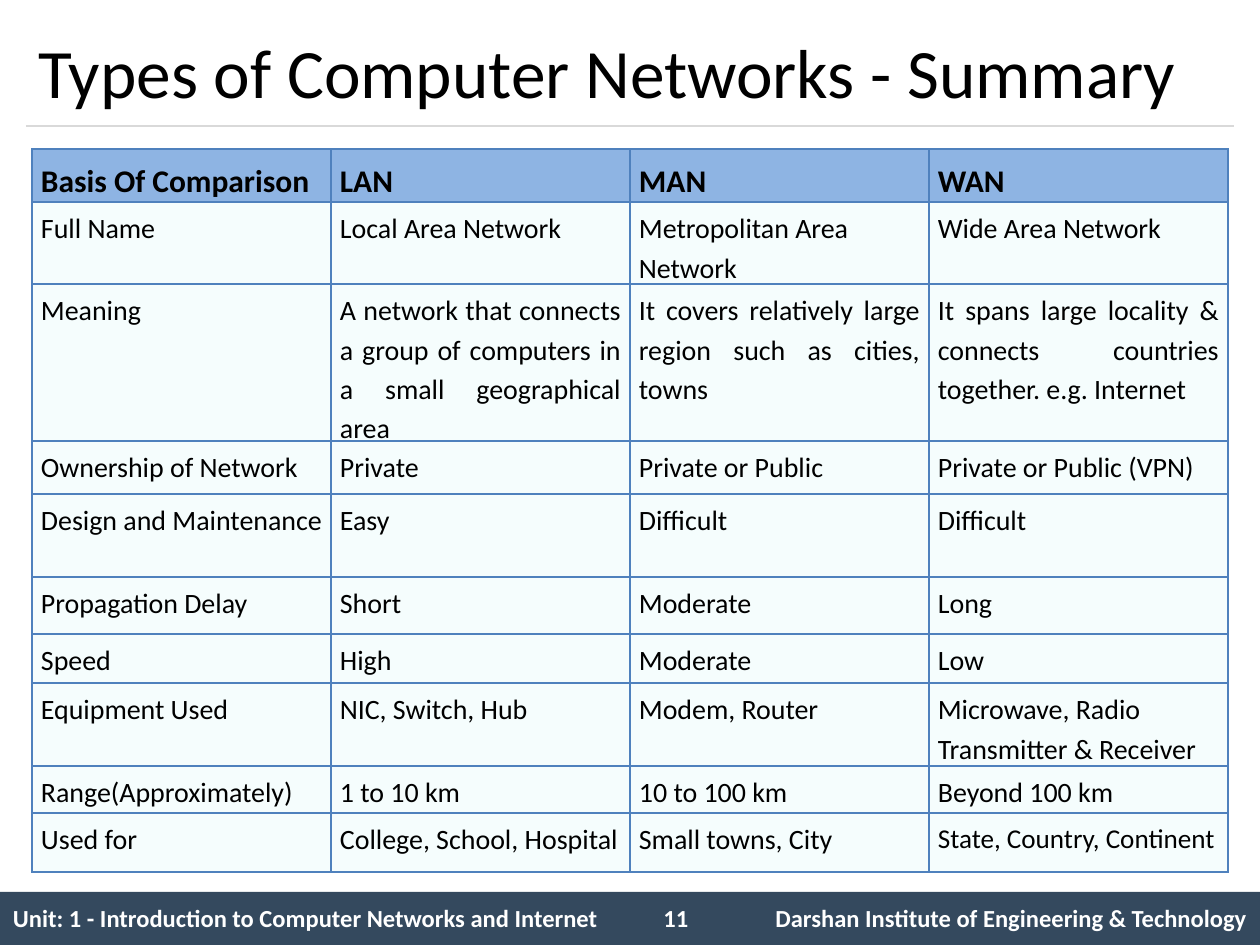
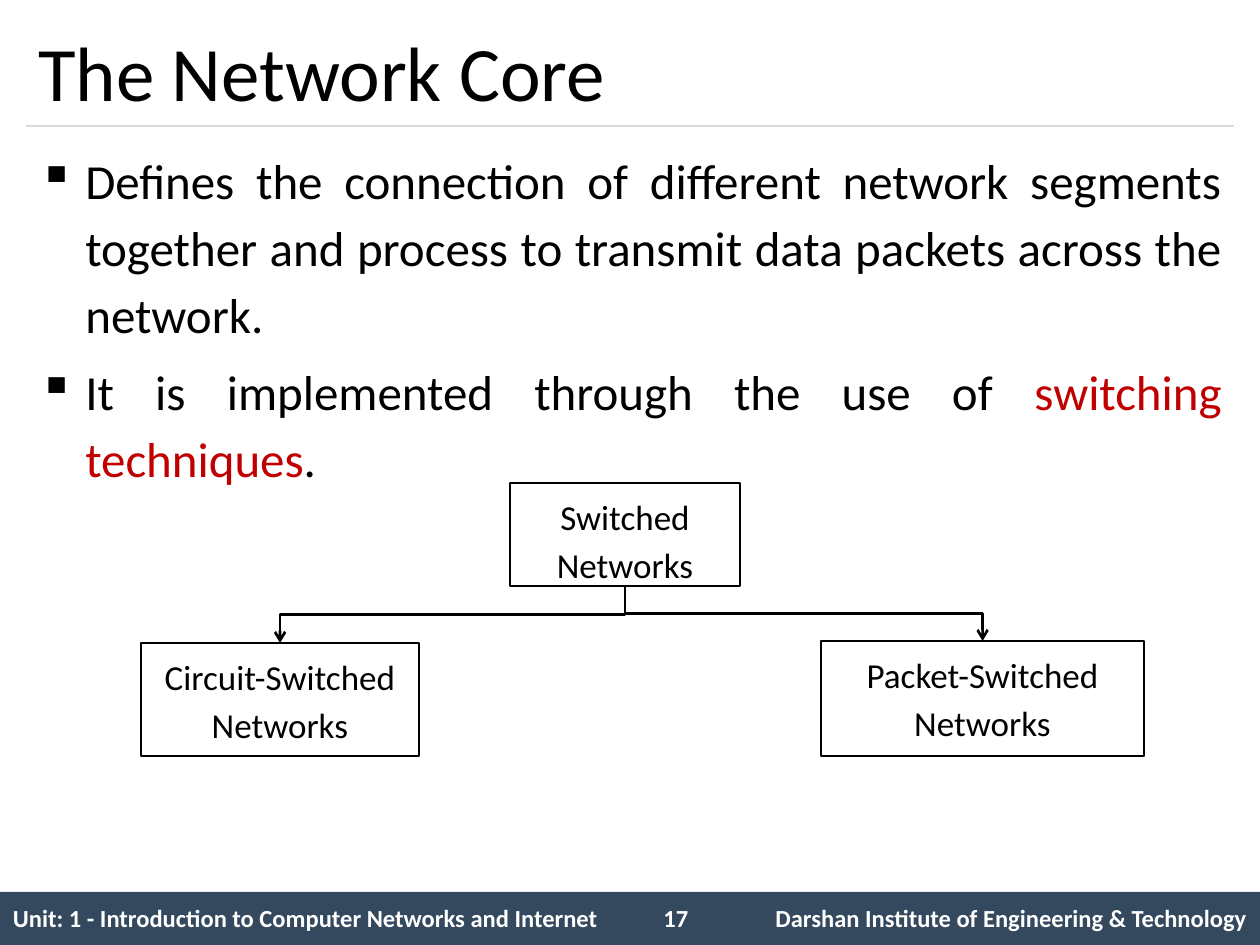
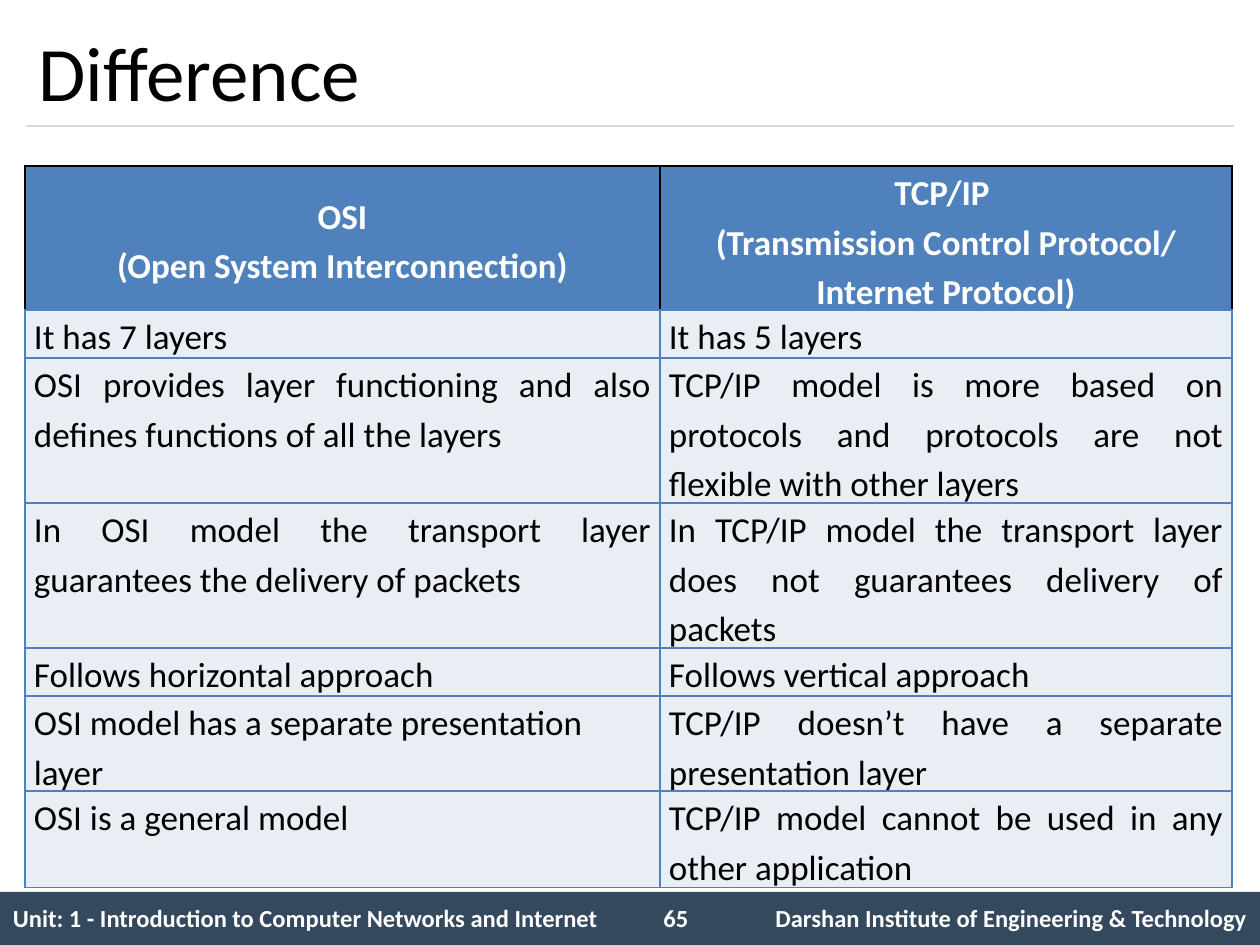
from dataclasses import dataclass

from lxml import etree
from pptx import Presentation
from pptx.dml.color import RGBColor
from pptx.enum.shapes import MSO_CONNECTOR, MSO_SHAPE
from pptx.enum.text import MSO_ANCHOR, PP_ALIGN
from pptx.oxml.ns import qn
from pptx.util import Emu, Pt

LEFT, CENTER, RIGHT, JUSTIFY = PP_ALIGN.LEFT, PP_ALIGN.CENTER, PP_ALIGN.RIGHT, PP_ALIGN.JUSTIFY
TOP, MIDDLE = MSO_ANCHOR.TOP, MSO_ANCHOR.MIDDLE
RECTANGLE = MSO_SHAPE.RECTANGLE
STRAIGHT, ELBOW = MSO_CONNECTOR.STRAIGHT, MSO_CONNECTOR.ELBOW
TOP_SIDE, BOTTOM_SIDE = 0, 2
SCALE = 914400 / 126
PAGE_WIDTH, PAGE_HEIGHT = 1260, 945


@dataclass(frozen=True)
class Theme:
    """Colours and type sizes of the whole deck."""
    font: str = "Calibri"
    ink: str = "000000"
    paper: str = "FFFFFF"
    band: str = "34495E"
    rule: str = "D9D9D9"
    accent: str = "C00000"
    grid: str = "4F81BD"
    summary_head: str = "8EB4E3"
    summary_cell: str = "F5FDFD"
    difference_cell: str = "E9EDF4"
    title_size: float = 44
    long_title_size: float = 39.6
    body_size: float = 28
    box_size: float = 20
    head_size: float = 18
    cell_size: float = 16
    tight_size: float = 15.5
    footer_size: float = 14


THEME = Theme()


@dataclass(frozen=True)
class CellStyle:
    """Look of the cells in one table strip."""
    size: float
    color: str = THEME.ink
    bold: bool = False
    fill: str = None
    border: str = None
    bottom_points: float = 1
    anchor: MSO_ANCHOR = TOP
    inset_x: int = 9
    inset_y: int = 0
    spacing: float = 1.15


@dataclass(frozen=True)
class Strip:
    """One table row with its place and alignments."""
    top: int
    height: int
    cells: tuple
    aligns: tuple
    last_size: float = None


FOOTER_STYLE = CellStyle(THEME.footer_size, THEME.paper, True, anchor=MIDDLE,
                         inset_x=13, inset_y=6, spacing=1)
SUMMARY_HEAD = CellStyle(THEME.head_size, bold=True, fill=THEME.summary_head, border=THEME.grid,
                         bottom_points=2, anchor=MIDDLE, inset_y=5)
SUMMARY_CELL = CellStyle(THEME.cell_size, fill=THEME.summary_cell, border=THEME.grid, inset_y=5)
DIFFERENCE_HEAD = CellStyle(THEME.box_size, THEME.paper, True, THEME.grid, THEME.ink, anchor=MIDDLE)
DIFFERENCE_CELL = CellStyle(THEME.box_size, fill=THEME.difference_cell, border=THEME.grid)

ALL_LEFT, ALL_JUSTIFY = (LEFT,) * 4, (JUSTIFY,) * 4
SUMMARY_ROWS = (
    Strip(149, 59, ("Basis Of Comparison", "LAN", "MAN", "WAN"), ALL_LEFT),
    Strip(202, 87, ("Full Name", "Local Area Network", "Metropolitan Area Network",
                    "Wide Area Network"), ALL_LEFT),
    Strip(284, 164, ("Meaning",
                     "A network that connects a group of computers in a small geographical area",
                     "It covers relatively large region such as cities, towns",
                     "It spans large locality & connects countries together. e.g. Internet"),
          ALL_JUSTIFY),
    Strip(441, 59, ("Ownership of Network", "Private", "Private or Public",
                    "Private or Public (VPN)"), ALL_LEFT),
    Strip(494, 87, ("Design and Maintenance", "Easy", "Difficult", "Difficult"), ALL_LEFT),
    Strip(577, 59, ("Propagation Delay", "Short", "Moderate", "Long"), ALL_LEFT),
    Strip(634, 59, ("Speed", "High", "Moderate", "Low"), ALL_LEFT),
    Strip(683, 87, ("Equipment Used", "NIC, Switch, Hub", "Modem, Router",
                    "Microwave, Radio Transmitter & Receiver"), ALL_LEFT),
    Strip(766, 48, ("Range(Approximately)", "1 to 10 km", "10 to 100 km", "Beyond 100 km"), ALL_LEFT),
    Strip(813, 59, ("Used for", "College, School, Hospital", "Small towns, City",
                    "State, Country, Continent"), ALL_LEFT, THEME.tight_size),
)
DIFFERENCE_ROWS = (
    Strip(166, 142, ("OSI\n(Open System Interconnection)",
                     "TCP/IP \n(Transmission Control Protocol/ Internet Protocol)"),
          (CENTER, CENTER)),
    Strip(310, 45, ("It has 7 layers", "It has 5 layers"), (LEFT, LEFT)),
    Strip(358, 142, ("OSI provides layer functioning and also defines functions of all the layers",
                     "TCP/IP model is more based on protocols and protocols are not flexible "
                     "with other layers"), (JUSTIFY, JUSTIFY)),
    Strip(503, 142, ("In OSI model the transport layer guarantees the delivery of packets",
                     "In TCP/IP model the transport layer does not guarantees delivery of packets"),
          (JUSTIFY, JUSTIFY)),
    Strip(648, 45, ("Follows horizontal approach", "Follows vertical approach"), (LEFT, LEFT)),
    Strip(696, 93, ("OSI model has a separate presentation layer",
                    "TCP/IP doesn’t have a separate presentation layer"), (LEFT, JUSTIFY)),
    Strip(791, 93, ("OSI is a general model",
                    "TCP/IP model cannot be used in any other application"), (LEFT, JUSTIFY)),
)
CORE_POINTS = (
    (("Defines the connection of different network segments together and process to transmit "
      "data packets across the network.", THEME.ink),),
    (("It is implemented through the use of ", THEME.ink),
     ("switching techniques", THEME.accent), (".", THEME.ink)),
)


def px(length):
    """Turn px into EMU."""
    return Emu(round(length * SCALE))


def rgb(color):
    """Turn a hex string into a colour."""
    return RGBColor.from_string(color)


def add_span(para, text, size, color=THEME.ink, bold=False):
    """Add one formatted run to a paragraph."""
    span = para.add_run()
    span.text = text
    span.font.name = THEME.font
    span.font.size = Pt(size)
    span.font.color.rgb = rgb(color)
    span.font.bold = bold


def write_lines(frame, text, size, color=THEME.ink, bold=False, align=LEFT, spacing=1):
    """Write each line of the text as a paragraph."""
    for index, line in enumerate(text.split("\n")):
        para = frame.add_paragraph() if index else frame.paragraphs[0]
        para.alignment = align
        para.line_spacing = spacing
        add_span(para, line, size, color, bold)


def add_text_box(page, left, top, width, height, anchor=TOP):
    """Add a wrapping text box and return its frame."""
    frame = page.shapes.add_textbox(px(left), px(top), px(width), px(height)).text_frame
    frame.word_wrap = True
    frame.vertical_anchor = anchor
    return frame


def add_rectangle(page, left, top, width, height, fill, outline=None):
    """Add a flat rectangle."""
    box = page.shapes.add_shape(RECTANGLE, px(left), px(top), px(width), px(height))
    box.shadow.inherit = False
    box.fill.solid()
    box.fill.fore_color.rgb = rgb(fill)
    if outline:
        box.line.color.rgb = rgb(outline)
        box.line.width = Pt(1.5)
    else:
        box.line.fill.background()
    return box


def style_line(connector, color, points):
    """Colour a connector and clear its shadow."""
    connector.line.color.rgb = rgb(color)
    connector.line.width = Pt(points)
    etree.SubElement(connector._element.spPr, qn("a:effectLst"))


def set_borders(cell, color, bottom_points):
    """Draw the four cell borders, or hide them without a colour."""
    properties = cell._tc.get_or_add_tcPr()
    for index, side in enumerate(("lnL", "lnR", "lnT", "lnB")):
        points = bottom_points if side == "lnB" else 1
        border = etree.Element(qn(f"a:{side}"), w=str(Pt(points)))
        if color:
            fill = etree.SubElement(border, qn("a:solidFill"))
            etree.SubElement(fill, qn("a:srgbClr"), val=color)
        else:
            etree.SubElement(border, qn("a:noFill"))
        properties.insert(index, border)


def add_strip(page, left, widths, strip, style):
    """Add a one-row table."""
    table = page.shapes.add_table(1, len(widths), px(left), px(strip.top),
                                  px(sum(widths)), px(strip.height)).table
    table.first_row = table.horz_banding = False
    for index, width in enumerate(widths):
        table.columns[index].width = px(width)
        cell = table.cell(0, index)
        cell.vertical_anchor = style.anchor
        cell.margin_left = cell.margin_right = px(style.inset_x)
        cell.margin_top = cell.margin_bottom = px(style.inset_y)
        if style.fill:
            cell.fill.solid()
            cell.fill.fore_color.rgb = rgb(style.fill)
        else:
            cell.fill.background()
        set_borders(cell, style.border, style.bottom_points)
        is_last = index == len(widths) - 1
        size = strip.last_size if is_last and strip.last_size else style.size
        if strip.cells[index]:
            write_lines(cell.text_frame, strip.cells[index], size, style.color, style.bold,
                        strip.aligns[index], style.spacing)


def add_comparison(page, left, widths, strips, head_style, cell_style):
    """Add a heading strip and the strips below it."""
    for index, strip in enumerate(strips):
        add_strip(page, left, widths, strip, cell_style if index else head_style)


def add_page(deck, title, number, title_size=THEME.title_size):
    """Add a page with title, rule and footer."""
    page = deck.slides.add_slide(deck.slide_layouts[6])
    add_rectangle(page, 0, 892, PAGE_WIDTH, 53, THEME.band)
    rule = page.shapes.add_connector(STRAIGHT, px(26), px(126), px(1234), px(126))
    style_line(rule, THEME.rule, 0.75)
    footer = Strip(892, 54, ("Unit: 1 - Introduction to Computer Networks and Internet", "",
                             "Darshan Institute of Engineering & Technology"),
                   (LEFT, LEFT, RIGHT))
    add_strip(page, 0, (640, 84, 536), footer, FOOTER_STYLE)
    write_lines(add_text_box(page, 651, 897, 73, 43), number, THEME.footer_size, THEME.paper, True)
    write_lines(add_text_box(page, 26, 15, 1208, 111, MIDDLE), title, title_size)
    return page


def add_bullets(page, points):
    """Add the justified bullet list."""
    frame = add_text_box(page, 26, 136, 1208, 735)
    for index, spans in enumerate(points):
        para = frame.add_paragraph() if index else frame.paragraphs[0]
        properties = para._p.get_or_add_pPr()
        properties.set("marL", str(px(47)))
        properties.set("indent", str(px(-47)))
        etree.SubElement(properties, qn("a:buChar"), char="▪")
        para.alignment = JUSTIFY
        para.line_spacing = 1.14
        if index:
            para.space_before = Pt(THEME.body_size * 0.2)
        for text, color in spans:
            add_span(para, text, THEME.body_size, color)


def add_network_box(page, left, top, width, height, label):
    """Add an outlined box with a centred label."""
    box = add_rectangle(page, left, top, width, height, THEME.paper, THEME.ink)
    box.text_frame.word_wrap = True
    box.text_frame.vertical_anchor = TOP
    write_lines(box.text_frame, label, THEME.box_size, align=CENTER, spacing=1.15)
    return box


def add_branch(page, parent, child):
    """Join a parent's bottom to a child's top with an elbow arrow."""
    start_x, start_y = parent.left + parent.width // 2, parent.top + parent.height
    end_x, end_y = child.left + child.width // 2, child.top
    arrow = page.shapes.add_connector(ELBOW, start_x, start_y, end_x, end_y)
    arrow.begin_connect(parent, BOTTOM_SIDE)
    arrow.end_connect(child, TOP_SIDE)
    drop, reach = end_y - start_y, abs(end_x - start_x)
    arrow.left = Emu((start_x + end_x - drop) // 2)
    arrow.top = Emu((start_y + end_y - reach) // 2)
    arrow.width, arrow.height = Emu(drop), Emu(reach)
    goes_right = end_x > start_x
    frame = arrow._element.spPr.find(qn("a:xfrm"))
    frame.set("rot", str((270 if goes_right else 90) * 60000))
    frame.set("flipH", "1" if goes_right else "0")
    frame.set("flipV", "0")
    style_line(arrow, THEME.ink, 1.5)
    outline = arrow._element.spPr.find(qn("a:ln"))
    etree.SubElement(outline, qn("a:tailEnd"), type="arrow")


def main():
    """Build the deck."""
    deck = Presentation()
    deck.slide_width, deck.slide_height = px(PAGE_WIDTH), px(PAGE_HEIGHT)

    summary = add_page(deck, "Types of Computer Networks - Summary", "11", THEME.long_title_size)
    add_comparison(summary, 32, (299,) * 4, SUMMARY_ROWS, SUMMARY_HEAD, SUMMARY_CELL)

    core = add_page(deck, "The Network Core", "17")
    add_bullets(core, CORE_POINTS)
    switched = add_network_box(core, 510, 483, 230, 103, "Switched\nNetworks")
    packet = add_network_box(core, 821, 641, 323, 115, "Packet-Switched\nNetworks")
    circuit = add_network_box(core, 141, 643, 278, 113, "Circuit-Switched\nNetworks")
    for child in (packet, circuit):
        add_branch(core, switched, child)

    difference = add_page(deck, "Difference", "65")
    add_comparison(difference, 25, (635, 572), DIFFERENCE_ROWS, DIFFERENCE_HEAD, DIFFERENCE_CELL)

    deck.save("out.pptx")


if __name__ == "__main__":
    main()
